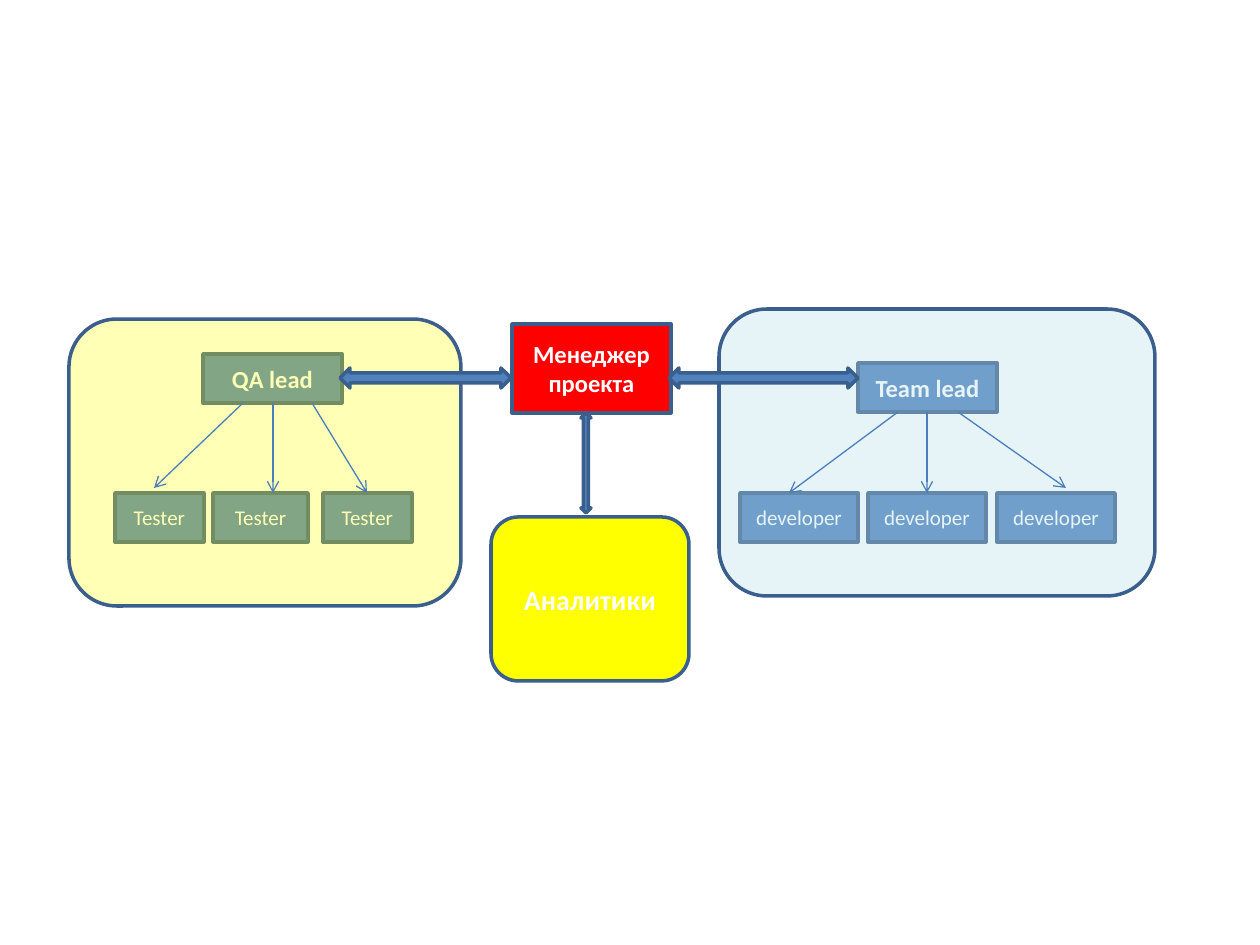
import pptx
import pptx.util
import pptx.dml.color
import pptx.enum.shapes
import pptx.enum.text
import pptx.oxml.ns
from lxml import etree

RGB = pptx.dml.color.RGBColor
SHAPES = pptx.enum.shapes.MSO_SHAPE
PX = 914400 // 126

WHITE = RGB(0xFF, 0xFF, 0xFF)
BLUE = RGB(0x4F, 0x81, 0xBD)
OUTLINE = RGB(0x3A, 0x5F, 0x8C)
ARROW = RGB(0x4B, 0x7E, 0xBC)
RED = RGB(0xFF, 0x00, 0x00)
YELLOW = RGB(0xFF, 0xFF, 0x00)
PALE_BLUE = RGB(0xB7, 0xDE, 0xE8)

LEAD_SIZE = (139, 49)
MEMBER_TOP, MEMBER_HEIGHT = 493, 49

# Each team: lead's text and corner, members' text and (left, width),
# area box, area colour and opacity in percent, arrows (x1, x2, y2)
TEAMS = [
    {"lead": "Team lead", "corner": (858, 363),
     "member": "developer", "columns": [(740, 118), (868, 118), (997, 118)],
     "area": (719, 309, 436, 287), "colour": PALE_BLUE, "opacity": 33,
     "arrows": [(898, 789, 493), (927, 927, 493), (958, 1066, 488)]},
    {"lead": "QA lead", "corner": (203, 354),
     "member": "Tester", "columns": [(115, 89), (213, 95), (323, 89)],
     "area": (69, 319, 392, 287), "colour": YELLOW, "opacity": 29,
     "arrows": [(243, 154, 488), (273, 273, 493), (312, 367, 493)]},
]
MANAGER = ("Менеджер проекта", (512, 324, 159, 89))
ANALYSTS = ("Аналитики", (491, 517, 198, 164))
EXCHANGES = [
    (SHAPES.LEFT_RIGHT_ARROW, (669, 368, 189, 20)),
    (SHAPES.LEFT_RIGHT_ARROW, (340, 368, 171, 20)),
    (SHAPES.UP_DOWN_ARROW, (581, 413, 10, 100)),
]


def emu(*pixels):
    """Turn pixel lengths into EMU."""
    return [pptx.util.Emu(p * PX) for p in pixels]


def add_child(parent, tag, **attributes):
    """Append a DrawingML element to parent."""
    return etree.SubElement(parent, pptx.oxml.ns.qn(tag), attributes)


def add_box(slide, kind, box, fill, text="", size=12, bold=False, opacity=100):
    """Draw an outlined shape with optional centred text."""
    shape = slide.shapes.add_shape(kind, *emu(*box))
    shape.shadow.inherit = False
    shape.fill.solid()
    shape.fill.fore_color.rgb = fill
    if opacity < 100:
        colour = shape.fill._xPr.find(".//" + pptx.oxml.ns.qn("a:srgbClr"))
        add_child(colour, "a:alpha", val=str(opacity * 1000))
    shape.line.color.rgb = OUTLINE
    shape.line.width = pptx.util.Pt(2)
    if text:
        frame = shape.text_frame
        frame.word_wrap = True
        frame.vertical_anchor = pptx.enum.text.MSO_ANCHOR.MIDDLE
        paragraph = frame.paragraphs[0]
        paragraph.text = text
        paragraph.alignment = pptx.enum.text.PP_ALIGN.CENTER
        font = paragraph.font
        font.name, font.size, font.bold = "Calibri", pptx.util.Pt(size), bold
        font.color.rgb = WHITE


def add_arrow(slide, x1, y1, x2, y2):
    """Draw a thin line with an open arrowhead at its end."""
    arrow = slide.shapes.add_connector(
        pptx.enum.shapes.MSO_CONNECTOR.STRAIGHT, *emu(x1, y1, x2, y2))
    arrow.line.color.rgb = ARROW
    arrow.line.width = pptx.util.Pt(0.75)
    add_child(arrow.line._get_or_add_ln(), "a:tailEnd", type="arrow")
    add_child(arrow._element.spPr, "a:effectLst")


def build():
    """Build the project team diagram."""
    deck = pptx.Presentation()
    deck.slide_width, deck.slide_height = emu(1260, 945)
    slide = deck.slides.add_slide(deck.slide_layouts[6])

    for team in TEAMS:
        add_box(slide, SHAPES.RECTANGLE, team["corner"] + LEAD_SIZE, BLUE,
                team["lead"], 14, True)
        for left, width in team["columns"]:
            add_box(slide, SHAPES.RECTANGLE,
                    (left, MEMBER_TOP, width, MEMBER_HEIGHT), BLUE, team["member"])
    text, box = MANAGER
    add_box(slide, SHAPES.RECTANGLE, box, RED, text, 14, True)

    # The translucent areas lie over the team boxes
    for team in TEAMS:
        add_box(slide, SHAPES.ROUNDED_RECTANGLE, team["area"], team["colour"],
                opacity=team["opacity"])
    for team in TEAMS:
        lead_bottom = team["corner"][1] + LEAD_SIZE[1]
        for x1, x2, y2 in team["arrows"]:
            add_arrow(slide, x1, lead_bottom, x2, y2)

    text, box = ANALYSTS
    add_box(slide, SHAPES.ROUNDED_RECTANGLE, box, YELLOW, text, 16, True)
    for kind, box in EXCHANGES:
        add_box(slide, kind, box, BLUE)
    deck.save("out.pptx")


build()
